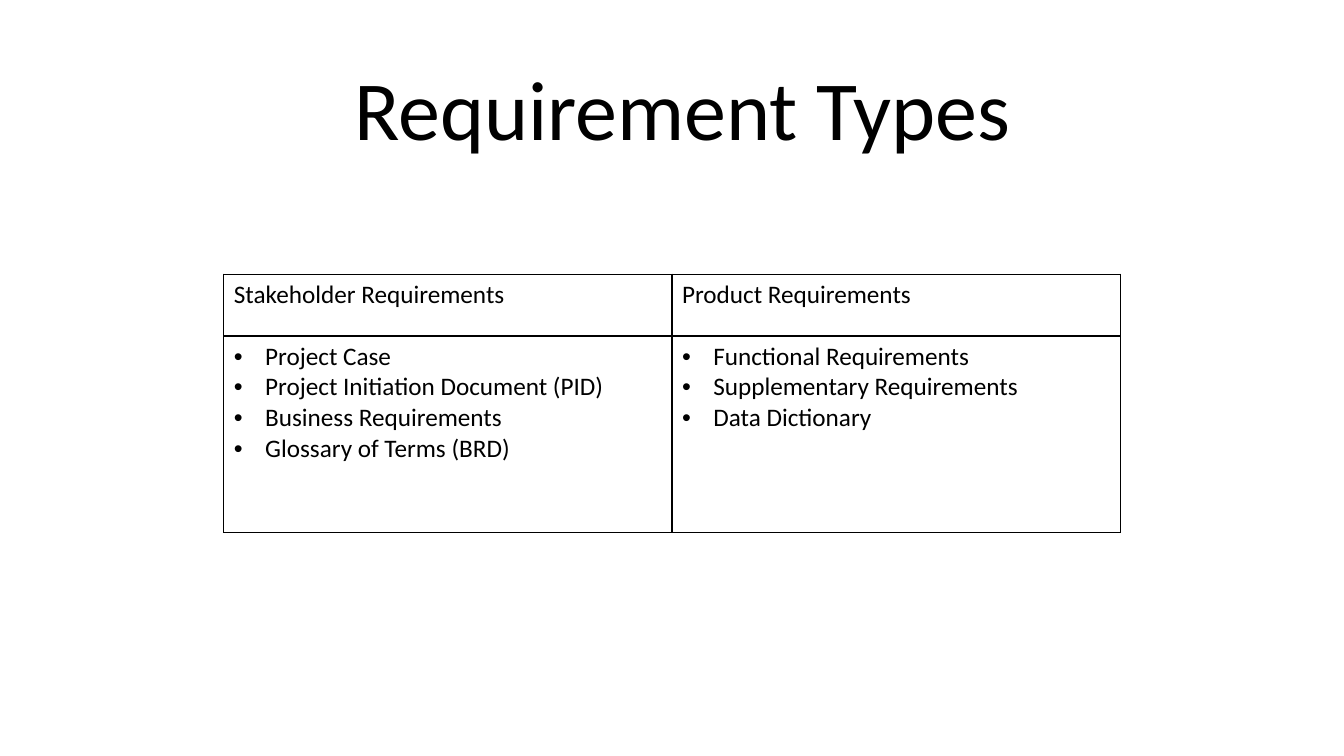
from dataclasses import dataclass

from lxml import etree
from pptx import Presentation
from pptx.dml.color import RGBColor
from pptx.enum.text import MSO_ANCHOR, MSO_AUTO_SIZE, PP_ALIGN
from pptx.oxml.ns import qn
from pptx.util import Inches, Pt

LEFT, CENTER = PP_ALIGN.LEFT, PP_ALIGN.CENTER
BOTTOM = MSO_ANCHOR.BOTTOM
NO_AUTOFIT = MSO_AUTO_SIZE.NONE
TITLE_ONLY = 5
BORDER_TAGS = ("a:lnL", "a:lnR", "a:lnT", "a:lnB")


@dataclass(frozen=True)
class Theme:
    """Colours, font and sizes used on the slide."""
    text: str = "000000"
    background: str = "FFFFFF"
    border: str = "000000"
    border_width: float = 1
    font: str = "Calibri"
    title_size: float = 60
    body_size: float = 18
    indent: float = 0.31


THEME = Theme()
SLIDE_WIDTH, SLIDE_HEIGHT = 13.33, 7.5
TITLE_BOX = (1.77, 0.58, 10, 1.04)
TABLE_BOX = (2.22, 2.72, 8.89, 2.56)
HEADER_SHARE = 0.24
REQUIREMENTS = {
    "Stakeholder Requirements": [
        "Project Case",
        "Project Initiation Document (PID)",
        "Business Requirements",
        "Glossary of Terms (BRD)",
    ],
    "Product Requirements": [
        "Functional Requirements",
        "Supplementary Requirements",
        "Data Dictionary",
    ],
}


def add_bullet(paragraph):
    """Give a paragraph a hanging round bullet."""
    properties = paragraph._p.get_or_add_pPr()
    properties.set("marL", str(Inches(THEME.indent)))
    properties.set("indent", str(-Inches(THEME.indent)))
    etree.SubElement(properties, qn("a:buFont"), typeface="Arial")
    etree.SubElement(properties, qn("a:buChar"), char="•")


def write_text(frame, lines, size=THEME.body_size, align=LEFT, spacing=1.0, bullets=False):
    """Write one formatted paragraph for each line."""
    for index, line in enumerate(lines):
        paragraph = frame.add_paragraph() if index else frame.paragraphs[0]
        paragraph.alignment = align
        paragraph.line_spacing = spacing
        if bullets:
            add_bullet(paragraph)
        run = paragraph.add_run()
        run.text = line
        run.font.name = THEME.font
        run.font.size = Pt(size)
        run.font.color.rgb = RGBColor.from_string(THEME.text)


def style_cell(cell):
    """Set a plain fill and a solid border on every side of a cell."""
    cell.fill.solid()
    cell.fill.fore_color.rgb = RGBColor.from_string(THEME.background)
    properties = cell._tc.get_or_add_tcPr()
    for position, tag in enumerate(BORDER_TAGS):
        line = etree.Element(qn(tag), w=str(Pt(THEME.border_width)))
        fill = etree.SubElement(line, qn("a:solidFill"))
        etree.SubElement(fill, qn("a:srgbClr"), val=THEME.border)
        properties.insert(position, line)


def place_title(slide, box, text):
    """Move and format the title placeholder."""
    title = slide.shapes.title
    title.left, title.top, title.width, title.height = map(Inches, box)
    frame = title.text_frame
    frame.word_wrap = True
    frame.auto_size = NO_AUTOFIT
    frame.vertical_anchor = BOTTOM
    write_text(frame, [text], size=THEME.title_size, align=CENTER, spacing=0.9)


def place_table(slide, box, groups):
    """Place a table with one column for each group of requirements."""
    left, top, width, height = map(Inches, box)
    table = slide.shapes.add_table(2, len(groups), left, top, width, height).table
    table.first_row = table.horz_banding = False
    header_height = round(height * HEADER_SHARE)
    table.rows[0].height = header_height
    table.rows[1].height = height - header_height
    for column, (heading, items) in enumerate(groups.items()):
        table.columns[column].width = width // len(groups)
        header, body = table.cell(0, column), table.cell(1, column)
        write_text(header.text_frame, [heading])
        write_text(body.text_frame, items, bullets=True)
        style_cell(header)
        style_cell(body)


def build_requirements_slide(presentation):
    """Add the slide with its title and requirements table."""
    slide = presentation.slides.add_slide(presentation.slide_layouts[TITLE_ONLY])
    slide.background.fill.solid()
    slide.background.fill.fore_color.rgb = RGBColor.from_string(THEME.background)
    place_title(slide, TITLE_BOX, "Requirement Types")
    place_table(slide, TABLE_BOX, REQUIREMENTS)


presentation = Presentation()
presentation.slide_width = Inches(SLIDE_WIDTH)
presentation.slide_height = Inches(SLIDE_HEIGHT)
build_requirements_slide(presentation)
presentation.save("out.pptx")
